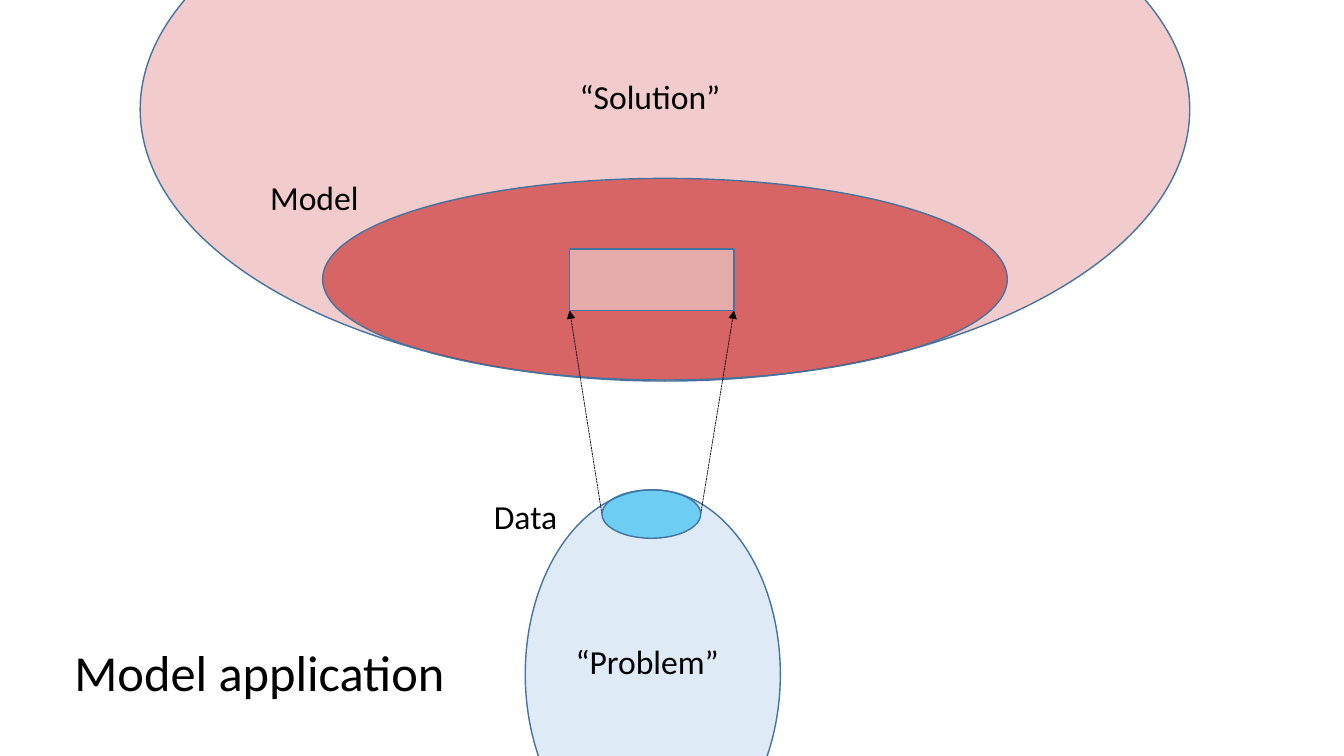
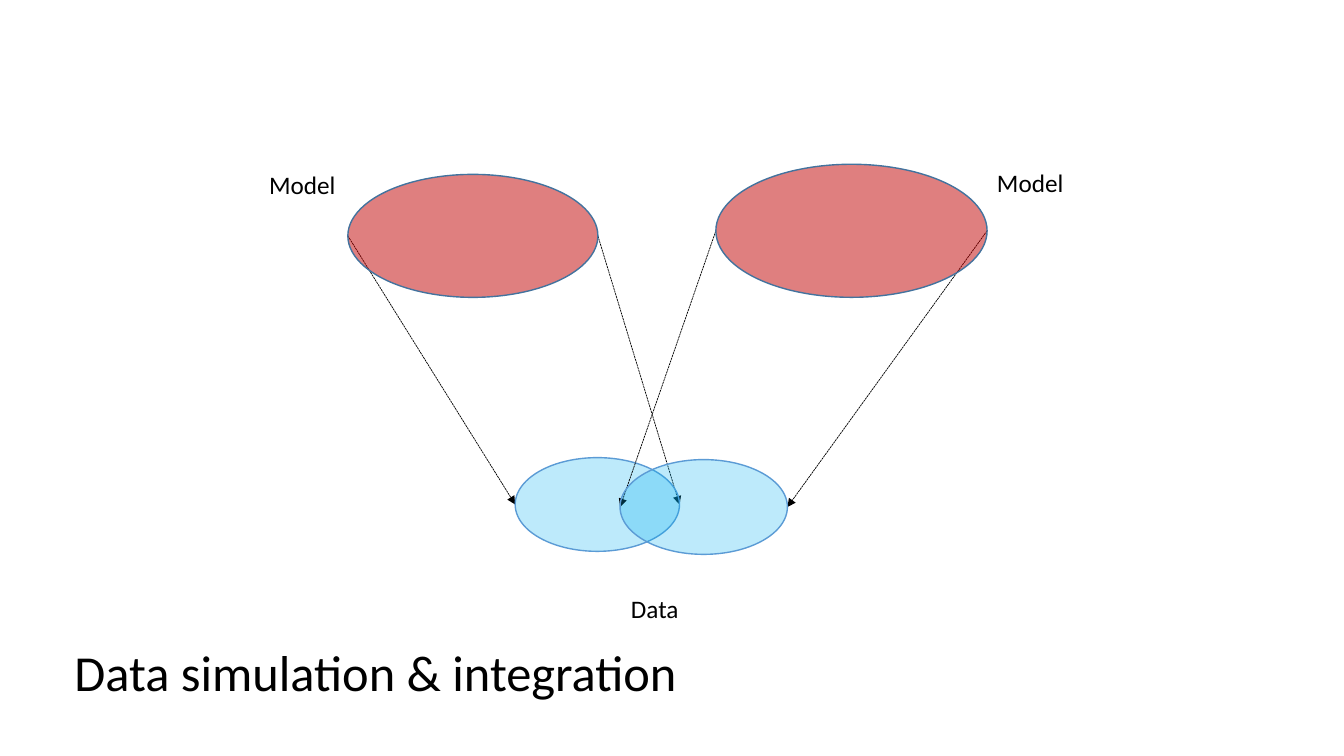
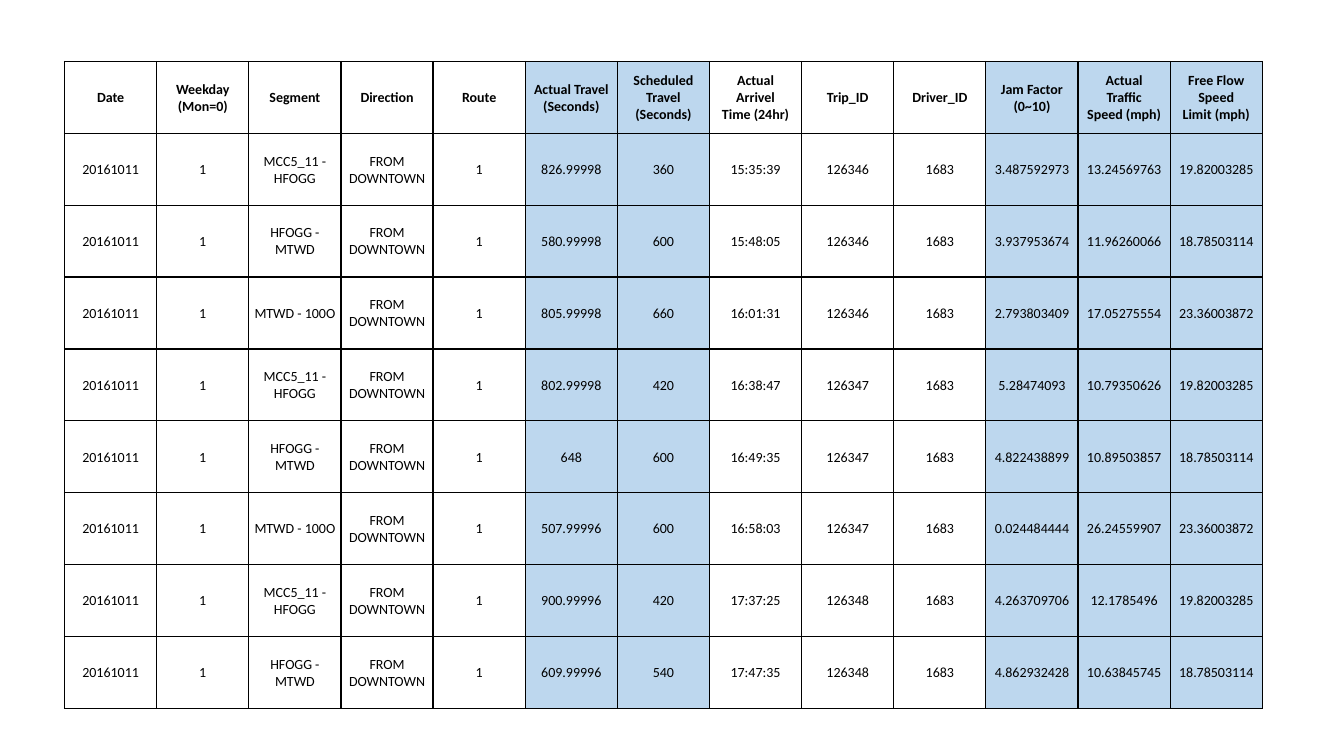
from copy import deepcopy
from lxml.etree import SubElement
from pptx import Presentation
from pptx.dml.color import RGBColor
from pptx.enum.dml import MSO_LINE
from pptx.enum.shapes import MSO_CONNECTOR, MSO_SHAPE
from pptx.enum.text import MSO_ANCHOR, MSO_AUTO_SIZE, PP_ALIGN
from pptx.oxml.ns import qn
from pptx.util import Inches, Pt

BLACK, RED, CYAN, BLUE = "000000", "C00000", "00B0F0", "5B9BD5"
PALE_GREY, PALE_BLUE, OUTLINE = "F2F2F2", "BDD7EE", "43739E"
TITLE_SIZE, TITLE_LEFT, TITLE_TOP = 36, 0.64, 6.31


def paint(fill, colour):
    fill.solid()
    fill.fore_color.rgb = RGBColor.from_string(colour)


def write(frame, text, size, bold=False, align=PP_ALIGN.LEFT):
    para = frame.paragraphs[0]
    para.text = text
    para.alignment = align
    for span in para.runs:
        for name, value in {"name": "Calibri", "size": Pt(size), "bold": bold}.items():
            setattr(span.font, name, value)
        paint(span.font.fill, BLACK)
    for line_break in para._p.findall(qn("a:br")):
        line_break.append(deepcopy(para.runs[0].font._element))


deck = Presentation()
deck.slide_width, deck.slide_height = Inches(13.33), Inches(7.5)
blank = deck.slide_layouts[6]

oval, rect = MSO_SHAPE.OVAL, MSO_SHAPE.RECTANGLE
application = {
    "title": "Model application",
    "title_width": 4.84,
    "label_size": 24,
    "shapes": {
        "solution": (oval, (1.39, -1.61, 10.41, 5.39), RED, 20, OUTLINE),
        "problem": (oval, (5.21, 4.86, 2.53, 3.66), BLUE, 20, OUTLINE),
        "model": (oval, (3.2, 1.77, 6.79, 2), RED, 50, OUTLINE),
        "data": (oval, (5.97, 4.86, 0.98, 0.48), CYAN, 50, OUTLINE),
        "result": (rect, (5.65, 2.47, 1.63, 0.61), PALE_GREY, 50, OUTLINE),
    },
    "arrows_before": {"data": ("data", "result", 1)},
    "labels": [
        ("Model", 2.58, 1.71, 1.09, 0.5),
        ("Data", 4.8, 4.87, 0.84, 0.5),
        ("“Problem”", 5.61, 6.31, 1.64, 0.5),
        ("“Solution”", 5.65, 0.7, 1.61, 0.5),
    ],
}
integration = {
    "title": "Data simulation & integration",
    "title_width": 6.62,
    "label_size": 18,
    "shapes": {
        "left data": (oval, (5.11, 4.54, 1.63, 0.93), CYAN, 26, BLUE),
        "left model": (oval, (3.45, 1.73, 2.48, 1.22), RED, 50, OUTLINE),
        "right data": (oval, (6.15, 4.56, 1.66, 0.94), CYAN, 26, BLUE),
        "right model": (oval, (7.1, 1.63, 2.69, 1.32), RED, 50, OUTLINE),
    },
    "arrows_before": {
        "left data": ("left model", "left data", 0.5),
        "right data": ("right model", "right data", 0.5),
    },
    "labels": [
        ("Data", 6.16, 5.84, 0.68, 0.4),
        ("Model", 2.57, 1.63, 0.87, 0.4),
        ("Model", 9.79, 1.61, 0.87, 0.4),
    ],
}

for diagram in (application, integration):
    page = deck.slides.add_slide(blank)
    shapes = diagram["shapes"]
    for name, (kind, bounds, colour, opacity, outline) in shapes.items():
        if name in diagram["arrows_before"]:
            source, target, depth = diagram["arrows_before"][name]
            left, top, width, height = shapes[source][1]
            end_left, end_top, end_width, end_height = shapes[target][1]
            for side in (0, 1):
                ends = (left + side * width, top + height / 2,
                        end_left + side * end_width, end_top + depth * end_height)
                arrow = page.shapes.add_connector(MSO_CONNECTOR.STRAIGHT, *map(Inches, ends))
                paint(arrow.line.fill, BLACK)
                arrow.line.width = Pt(0.5)
                arrow.line.dash_style = MSO_LINE.SQUARE_DOT
                properties = arrow._element.spPr
                SubElement(properties.find(qn("a:ln")), qn("a:tailEnd"), type="triangle")
                SubElement(properties, qn("a:effectLst"))
        shape = page.shapes.add_shape(kind, *map(Inches, bounds))
        shape.shadow.inherit = False
        paint(shape.fill, colour)
        tint = shape._element.spPr.find(qn("a:solidFill"))[0]
        SubElement(tint, qn("a:alpha"), val=str(opacity * 1000))
        paint(shape.line.fill, outline)
        shape.line.width = Pt(1)

    title = (diagram["title"], TITLE_LEFT, TITLE_TOP, diagram["title_width"], 0.71)
    for label in diagram["labels"] + [title]:
        text, *bounds = label
        box = page.shapes.add_textbox(*map(Inches, bounds))
        box.text_frame.word_wrap = label is title
        box.text_frame.auto_size = MSO_AUTO_SIZE.SHAPE_TO_FIT_TEXT
        write(box.text_frame, text, TITLE_SIZE if label is title else diagram["label_size"])

headers = ["Date", "Weekday\n(Mon=0)", "Segment", "Direction", "Route",
           "Actual Travel\n(Seconds)", "Scheduled\nTravel\n(Seconds)",
           "Actual\nArrivel\nTime (24hr)", "Trip_ID", "Driver_ID",
           "Jam Factor\n(0~10)", "Actual\nTraffic\nSpeed (mph)",
           "Free Flow\nSpeed\nLimit (mph)"]
speed_limits = {"MCC5_11 - HFOGG": "19.82003285",
                "HFOGG - MTWD": "18.78503114",
                "MTWD - 100O": "23.36003872"}
trips = [
    ("MCC5_11 - HFOGG", "826.99998", "360", "15:35:39", "126346", "3.487592973", "13.24569763"),
    ("HFOGG - MTWD", "580.99998", "600", "15:48:05", "126346", "3.937953674", "11.96260066"),
    ("MTWD - 100O", "805.99998", "660", "16:01:31", "126346", "2.793803409", "17.05275554"),
    ("MCC5_11 - HFOGG", "802.99998", "420", "16:38:47", "126347", "5.28474093", "10.79350626"),
    ("HFOGG - MTWD", "648", "600", "16:49:35", "126347", "4.822438899", "10.89503857"),
    ("MTWD - 100O", "507.99996", "600", "16:58:03", "126347", "0.024484444", "26.24559907"),
    ("MCC5_11 - HFOGG", "900.99996", "420", "17:37:25", "126348", "4.263709706", "12.1785496"),
    ("HFOGG - MTWD", "609.99996", "540", "17:47:35", "126348", "4.862932428", "10.63845745"),
]
rows = [headers]
for segment, actual, scheduled, arrival, trip, jam, speed in trips:
    rows.append(["20161011", "1", segment, "FROM DOWNTOWN", "1", actual, scheduled,
                 arrival, trip, "1683", jam, speed, speed_limits[segment]])
shaded_columns = {5, 6, 10, 11, 12}
cell_format = {"vertical_anchor": MSO_ANCHOR.MIDDLE, "margin_left": Inches(0.01),
               "margin_top": Inches(0.01), "margin_right": Inches(0.01), "margin_bottom": 0}

page = deck.slides.add_slide(blank)
bounds = (0.64, 0.61, 11.88, 6.42)
table = page.shapes.add_table(len(rows), len(headers), *map(Inches, bounds)).table
table.first_row = table.horz_banding = False
for row_index, row in enumerate(rows):
    for column_index, text in enumerate(row):
        cell = table.cell(row_index, column_index)
        for name, value in cell_format.items():
            setattr(cell, name, value)
        write(cell.text_frame, text, 10, row_index == 0, PP_ALIGN.CENTER)
        properties = cell._tc.get_or_add_tcPr()
        for edge in ("a:lnL", "a:lnR", "a:lnT", "a:lnB"):
            border = SubElement(properties, qn(edge), w=str(Pt(1)))
            SubElement(SubElement(border, qn("a:solidFill")), qn("a:srgbClr"), val=BLACK)
        if column_index in shaded_columns:
            paint(cell.fill, PALE_BLUE)
        else:
            cell.fill.background()

deck.save("out.pptx")
